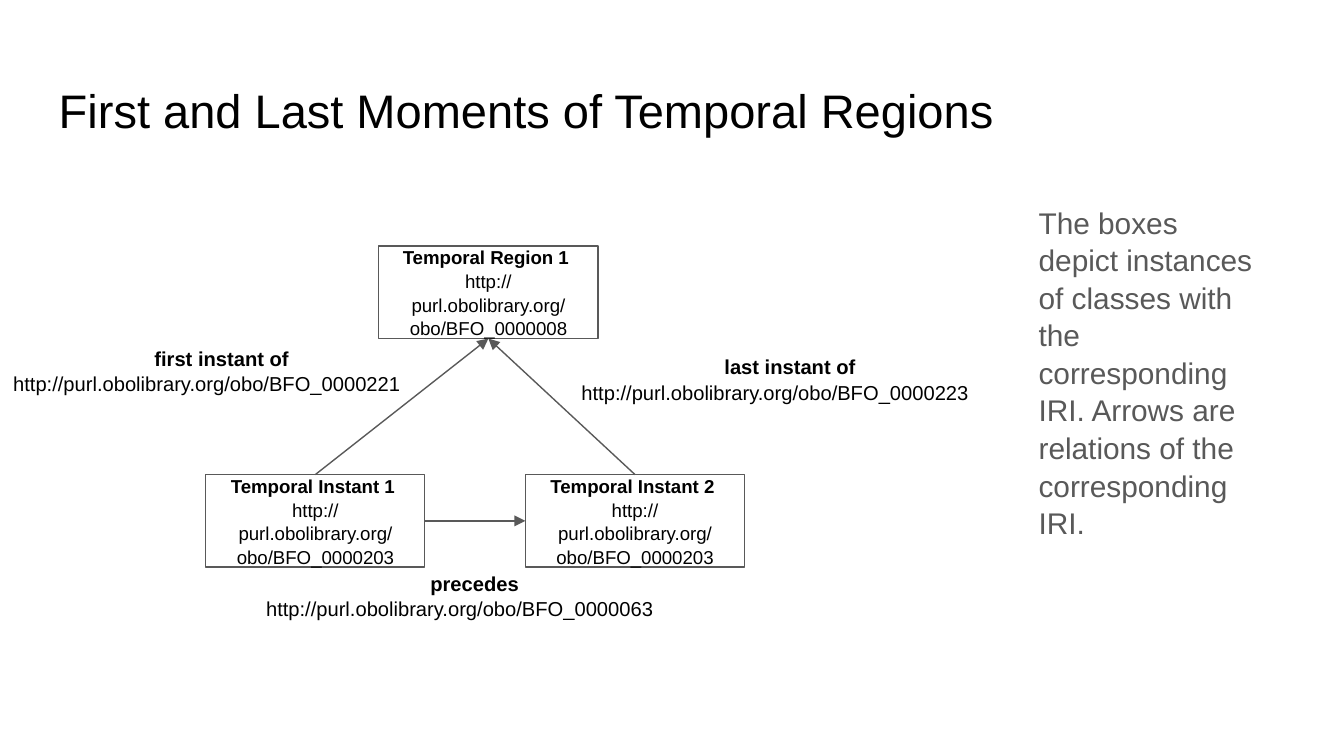
from pptx import Presentation
from pptx import util as u
from pptx.dml.color import RGBColor
from pptx.enum import shapes, text
from pptx.oxml import ns
from lxml import etree

BLACK = RGBColor(0x00, 0x00, 0x00)
GRAY = RGBColor(0x59, 0x59, 0x59)
WHITE = RGBColor(0xFF, 0xFF, 0xFF)
IRI = "http://purl.obolibrary.org/obo/BFO_"
CENTER, LEFT = text.PP_ALIGN.CENTER, text.PP_ALIGN.LEFT


class Diagram:
    font = "Arial"
    spacing = 1.05
    inset = u.Cm(0.25)
    line_width = u.Pt(0.75)
    box_size = u.Cm(4.14), u.Cm(1.75)
    label_size = u.Cm(8.38), u.Cm(1.42)

    def __init__(self, slide):
        self.slide = slide

    def set_text(self, shape, lines, size, color=BLACK, anchor=text.MSO_ANCHOR.TOP):
        """Fill a shape with (text, bold, alignment) lines."""
        frame = shape.text_frame
        frame.word_wrap = True
        frame.auto_size = text.MSO_AUTO_SIZE.NONE
        frame.vertical_anchor = anchor
        frame.margin_left = frame.margin_right = self.inset
        frame.margin_top = frame.margin_bottom = self.inset
        frame.text = "\n".join(line[0] for line in lines)
        for para, (_, bold, align) in zip(frame.paragraphs, lines):
            para.alignment = align
            para.line_spacing = self.spacing
            para.space_before = para.space_after = u.Pt(0)
            for span in para.runs:
                span.font.name = self.font
                span.font.size = u.Pt(size)
                span.font.bold = bold
                span.font.color.rgb = color

    def title(self, words, left, top, width, height):
        title = self.slide.shapes.title
        title.left, title.top = u.Cm(left), u.Cm(top)
        title.width, title.height = u.Cm(width), u.Cm(height)
        self.set_text(title, [(words, False, LEFT)], 25.2)

    def note(self, words, left, top, width, height):
        note = self.slide.shapes.add_textbox(
            u.Cm(left), u.Cm(top), u.Cm(width), u.Cm(height))
        self.set_text(note, [(words, False, LEFT)], 16, GRAY)

    def instance(self, name, number, left, top):
        box = self.slide.shapes.add_shape(
            shapes.MSO_SHAPE.RECTANGLE, u.Cm(left), u.Cm(top), *self.box_size)
        box.shadow.inherit = False
        box.fill.solid()
        box.fill.fore_color.rgb = WHITE
        box.line.color.rgb = GRAY
        box.line.width = self.line_width
        self.set_text(box, [(name + " ", True, CENTER), (IRI + number, False, CENTER)],
                      10, anchor=text.MSO_ANCHOR.MIDDLE)
        return box

    def relation(self, name, number, left, top):
        label = self.slide.shapes.add_textbox(
            u.Cm(left), u.Cm(top), *self.label_size)
        self.set_text(label, [(name, True, CENTER), (IRI + number, False, LEFT)], 10.8)

    def arrow(self, start, start_site, end, end_site):
        arrow = self.slide.shapes.add_connector(
            shapes.MSO_CONNECTOR.STRAIGHT, 0, 0, 0, 0)
        arrow.begin_connect(start, start_site)
        arrow.end_connect(end, end_site)
        arrow.line.color.rgb = GRAY
        arrow.line.width = self.line_width
        properties = arrow.element.spPr
        etree.SubElement(properties.find(ns.qn("a:ln")), ns.qn("a:tailEnd"),
                         type="triangle", w="med", len="med")
        etree.SubElement(properties, ns.qn("a:effectLst"))


def main():
    deck = Presentation()
    deck.slide_width, deck.slide_height = u.Cm(25.4), u.Cm(14.29)
    diagram = Diagram(deck.slides.add_slide(deck.slide_layouts[5]))

    # Title and explanation
    diagram.title("First and Last Moments of Temporal Regions", 0.86, 1.24, 23.67, 1.6)
    diagram.note("The boxes depict instances of classes with the corresponding IRI. "
                 "Arrows are relations of the corresponding IRI.",
                 19.38, 3.58, 4.6, 7.14)

    # Instances
    region = diagram.instance("Temporal Region 1", "0000008", 7.16, 4.65)
    last = diagram.instance("Temporal Instant 2", "0000203", 9.93, 8.97)
    first = diagram.instance("Temporal Instant 1", "0000203", 3.89, 8.97)

    # Arrows; rectangle sites run top, left, bottom, right
    top, left, bottom, right = range(4)
    diagram.arrow(first, top, region, bottom)
    diagram.arrow(last, top, region, bottom)
    diagram.arrow(first, right, last, left)

    # Relation labels
    diagram.relation("last instant of", "0000223", 10.74, 6.43)
    diagram.relation("first instant of", "0000221", 0, 6.27)
    diagram.relation("precedes", "0000063", 4.78, 10.52)

    deck.save("out.pptx")


if __name__ == "__main__":
    main()
